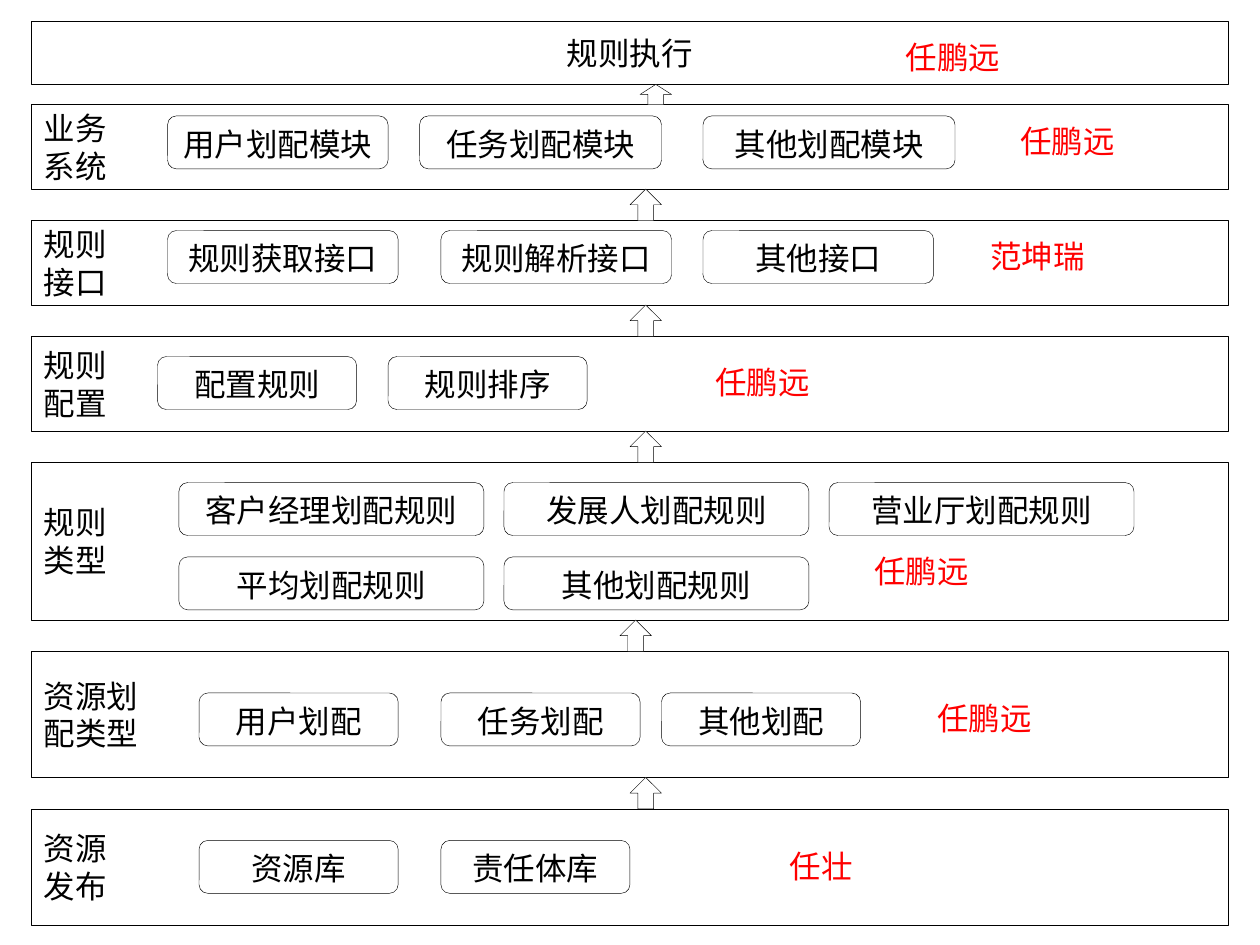
from pptx import Presentation
from pptx.dml.color import RGBColor
from pptx.enum.shapes import MSO_SHAPE
from pptx.enum.text import MSO_ANCHOR, PP_ALIGN
from pptx.util import Inches, Pt

RECT, ROUNDED, UP_ARROW = (
    MSO_SHAPE.RECTANGLE, MSO_SHAPE.ROUNDED_RECTANGLE, MSO_SHAPE.UP_ARROW)
TOP, MIDDLE = MSO_ANCHOR.TOP, MSO_ANCHOR.MIDDLE
LEFT, CENTER = PP_ALIGN.LEFT, PP_ALIGN.CENTER
BLACK = RGBColor(0, 0, 0)
WHITE = RGBColor(255, 255, 255)
RED = RGBColor(255, 0, 0)

LAYER_LEFT, LAYER_W = 0.25, 9.5
MODULE_H = 0.42
ARROW_W = 0.25
CHAR_W, INSET = 0.25, 0.1

# Top to bottom; modules are (left, top, width, text), owners (left, top, name),
# arrow is the left edge of the arrow rising from the layer.
LAYERS = [
    {"top": 0.17, "height": 0.5, "label": "规则执行", "align": CENTER,
     "owner": (7.09, 0.25, "任鹏远"), "modules": []},
    {"top": 0.83, "height": 0.67, "label": "业务\n系统", "arrow": 5.08,
     "owner": (8, 0.92, "任鹏远"),
     "modules": [(1.33, 0.92, 1.75, "用户划配模块"),
                 (3.33, 0.92, 1.92, "任务划配模块"),
                 (5.58, 0.92, 2, "其他划配模块")]},
    {"top": 1.75, "height": 0.67, "label": "规则\n接口", "arrow": 5,
     "owner": (7.76, 1.83, "范坤瑞"),
     "modules": [(1.33, 1.83, 1.83, "规则获取接口"),
                 (3.5, 1.83, 1.83, "规则解析接口"),
                 (5.58, 1.83, 1.83, "其他接口")]},
    {"top": 2.67, "height": 0.75, "label": "规则\n配置", "arrow": 5,
     "owner": (5.58, 2.83, "任鹏远"),
     "modules": [(1.25, 2.83, 1.58, "配置规则"),
                 (3.08, 2.83, 1.58, "规则排序")]},
    {"top": 3.67, "height": 1.25, "label": "规则\n类型", "arrow": 5,
     "owner": (6.84, 4.33, "任鹏远"),
     "modules": [(1.42, 3.83, 2.42, "客户经理划配规则"),
                 (4, 3.83, 2.42, "发展人划配规则"),
                 (6.58, 3.83, 2.42, "营业厅划配规则"),
                 (1.42, 4.42, 2.42, "平均划配规则"),
                 (4, 4.42, 2.42, "其他划配规则")]},
    {"top": 5.17, "height": 1, "label": "资源划\n配类型", "arrow": 4.92,
     "owner": (7.34, 5.5, "任鹏远"),
     "modules": [(1.58, 5.5, 1.58, "用户划配"),
                 (3.5, 5.5, 1.58, "任务划配"),
                 (5.25, 5.5, 1.58, "其他划配")]},
    {"top": 6.42, "height": 0.92, "label": "资源\n发布", "arrow": 5,
     "owner": (6.17, 6.67, "任壮"),
     "modules": [(1.58, 6.67, 1.58, "资源库"),
                 (3.5, 6.67, 1.5, "责任体库")]},
]


def write(sp, text, color, align, anchor):
    tf = sp.text_frame
    tf.text = text
    tf.vertical_anchor = anchor
    for p in tf.paragraphs:
        p.alignment = align
        for r in p.runs:
            r.font.size = Pt(18)
            r.font.name = "Arial"
            r.font.color.rgb = color


def add_outlined(slide, kind, left, top, width, height):
    sp = slide.shapes.add_shape(
        kind, Inches(left), Inches(top), Inches(width), Inches(height))
    sp.shadow.inherit = False
    sp.fill.solid()
    sp.fill.fore_color.rgb = WHITE
    sp.line.color.rgb = BLACK
    sp.line.width = Pt(0.25)
    return sp


def add_owner(slide, left, top, name):
    width = CHAR_W * len(name) + 2 * INSET
    box = slide.shapes.add_textbox(
        Inches(left), Inches(top), Inches(width), Inches(0.4))
    box.text_frame.word_wrap = False
    write(box, name, RED, LEFT, TOP)


def main():
    prs = Presentation()
    prs.slide_width, prs.slide_height = Inches(10), Inches(7.5)
    slide = prs.slides.add_slide(prs.slide_layouts[6])

    for layer in LAYERS:
        sp = add_outlined(slide, RECT, LAYER_LEFT, layer["top"],
                          LAYER_W, layer["height"])
        write(sp, layer["label"], BLACK, layer.get("align", LEFT), MIDDLE)
        for left, top, width, text in layer["modules"]:
            sp = add_outlined(slide, ROUNDED, left, top, width, MODULE_H)
            write(sp, text, BLACK, CENTER, TOP)
        add_owner(slide, *layer["owner"])

    for upper, lower in zip(LAYERS, LAYERS[1:]):
        bottom = upper["top"] + upper["height"]
        add_outlined(slide, UP_ARROW, lower["arrow"], bottom,
                     ARROW_W, lower["top"] - bottom)

    prs.save("out.pptx")


if __name__ == "__main__":
    main()
